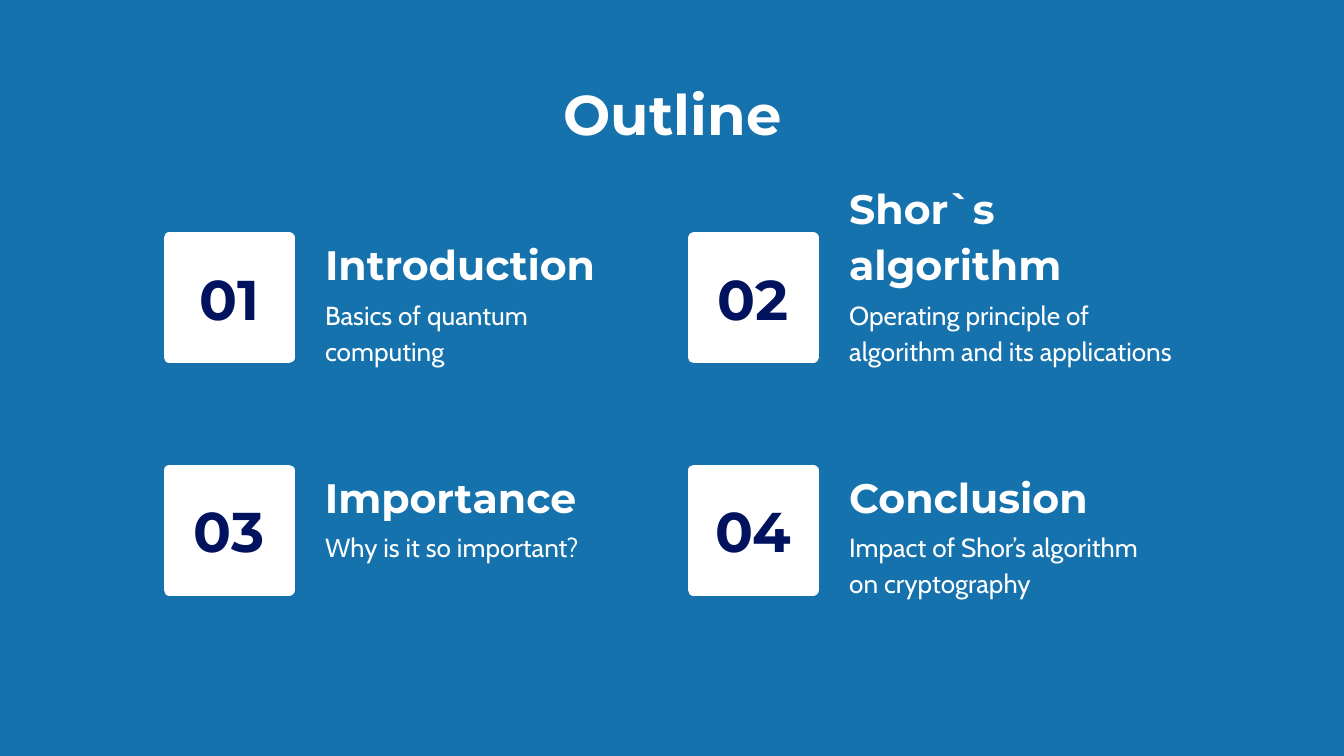
"""Build the outline slide: a title and four numbered topics in a grid."""
from dataclasses import dataclass

from pptx import Presentation
from pptx.dml.color import RGBColor
from pptx.enum.shapes import MSO_SHAPE as Kind
from pptx.enum.text import MSO_ANCHOR as Anchor, PP_ALIGN as Align
from pptx.util import Inches, Pt

COLORS = {"back": "1672AC", "white": "FFFFFF", "navy": "01125E"}
HEAD, BODY = "Montserrat", "Cabin"
LEFT, TOP = 1.26, 1.77
STEP_X, STEP_Y = 3.9, 1.73
SIDE, INDENT = 0.89, 1.06


@dataclass
class Topic:
    """One topic with its heading, its note and their box sizes."""
    head: str
    note: str
    head_w: float = 2.52
    note_w: float = 2.52
    note_h: float = 0.63


TOPICS = [
    Topic("Introduction", "Basics of quantum computing", note_h=0.91),
    Topic("Shor`s algorithm",
          "Operating principle of algorithm and its applications",
          head_w=2.89, note_w=2.62),
    Topic("Importance", "Why is it so important?", head_w=2.67),
    Topic("Conclusion", "Impact of Shor’s algorithm on cryptography"),
]


def shade(name: str) -> RGBColor:
    """Return the named colour."""
    return RGBColor.from_string(COLORS[name])


def write(shape, text: str, *, size: float, font: str = HEAD,
          color: str = "white", bold: bool = True, align=Align.LEFT,
          anchor=Anchor.TOP, lead: float = 1.0) -> None:
    """Put formatted text into a shape."""
    frame = shape.text_frame
    frame.word_wrap = True
    frame.vertical_anchor = anchor
    frame.margin_left = frame.margin_right = Inches(0.1)
    frame.margin_top = frame.margin_bottom = Inches(0.1)
    para = frame.paragraphs[0]
    para.alignment = align
    para.line_spacing = lead
    run = para.add_run()
    run.text = text
    run.font.name = font
    run.font.size = Pt(size)
    run.font.bold = bold
    run.font.color.rgb = shade(color)


def add_text(slide, x: float, y: float, w: float, h: float,
             text: str, **style) -> None:
    """Add a text box."""
    box = slide.shapes.add_textbox(Inches(x), Inches(y), Inches(w), Inches(h))
    write(box, text, **style)


def add_tile(slide, x: float, y: float, text: str) -> None:
    """Add a white square that holds a number."""
    tile = slide.shapes.add_shape(
        Kind.RECTANGLE, Inches(x), Inches(y), Inches(SIDE), Inches(SIDE))
    tile.shadow.inherit = False
    tile.fill.solid()
    tile.fill.fore_color.rgb = shade("white")
    tile.line.color.rgb = shade("white")
    tile.line.width = Pt(6)
    write(tile, text, size=30, color="navy", align=Align.CENTER,
          anchor=Anchor.MIDDLE)


def add_topic(slide, index: int, topic: Topic) -> None:
    """Add one topic at its place in the grid."""
    row, col = divmod(index, 2)
    x, y = LEFT + col * STEP_X, TOP + row * STEP_Y
    add_tile(slide, x, y, f"{index + 1:02}")
    add_text(slide, x + INDENT, y + 0.32, topic.note_w, topic.note_h,
             topic.note, size=14, font=BODY, bold=False, lead=1.15)
    add_text(slide, x + INDENT, y - 0.05, topic.head_w, 0.53,
             topic.head, size=22, anchor=Anchor.BOTTOM, lead=1.15)


def main() -> None:
    """Build and save the deck."""
    deck = Presentation()
    deck.slide_width = Inches(10)
    deck.slide_height = Inches(10 * 9 / 16)
    slide = deck.slides.add_slide(deck.slide_layouts[6])
    slide.background.fill.solid()
    slide.background.fill.fore_color.rgb = shade("back")
    add_text(slide, 0.79, 0.49, 8.43, 0.63, "Outline", size=30,
             align=Align.CENTER)
    for index, topic in enumerate(TOPICS):
        add_topic(slide, index, topic)
    deck.save("out.pptx")


if __name__ == "__main__":
    main()
